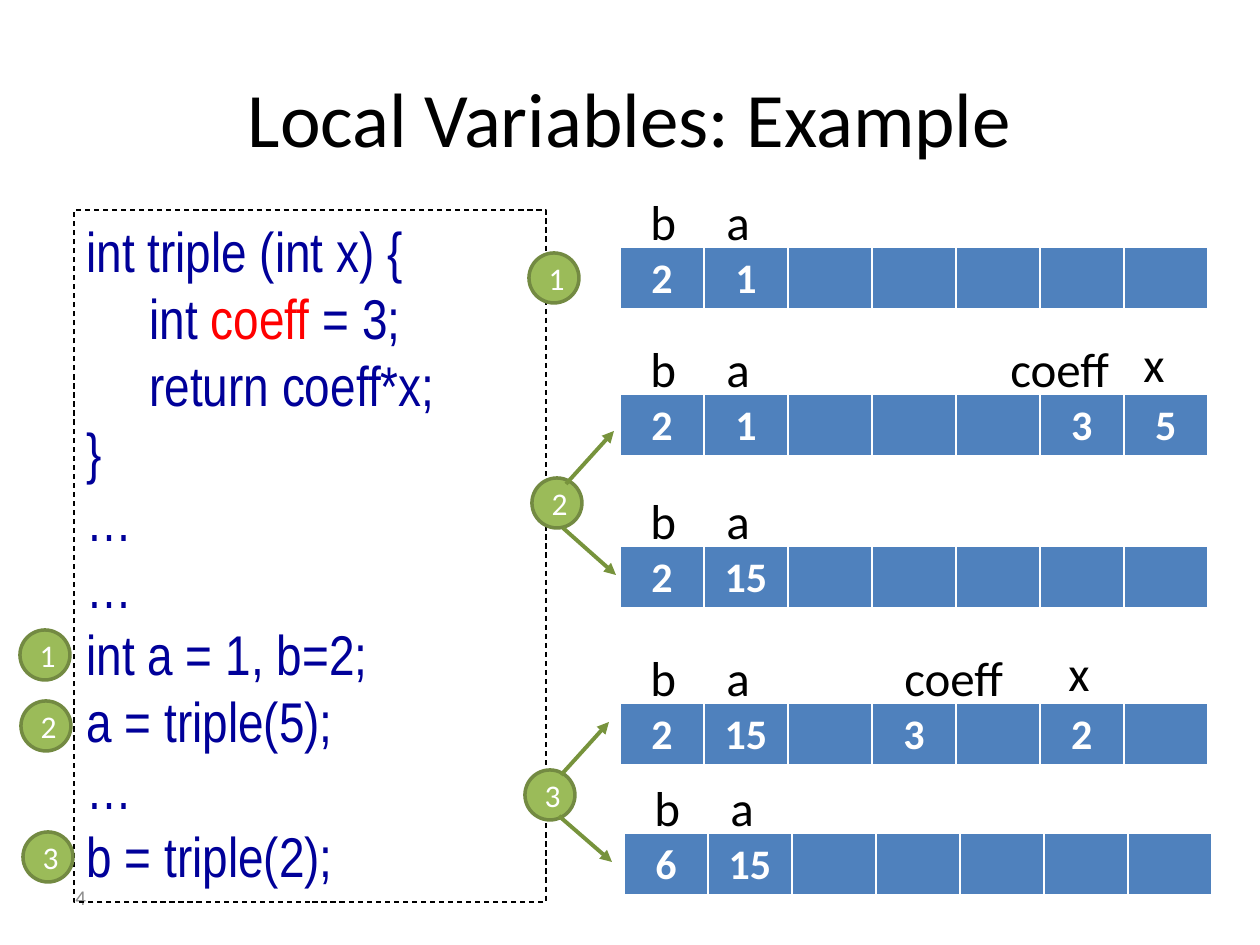
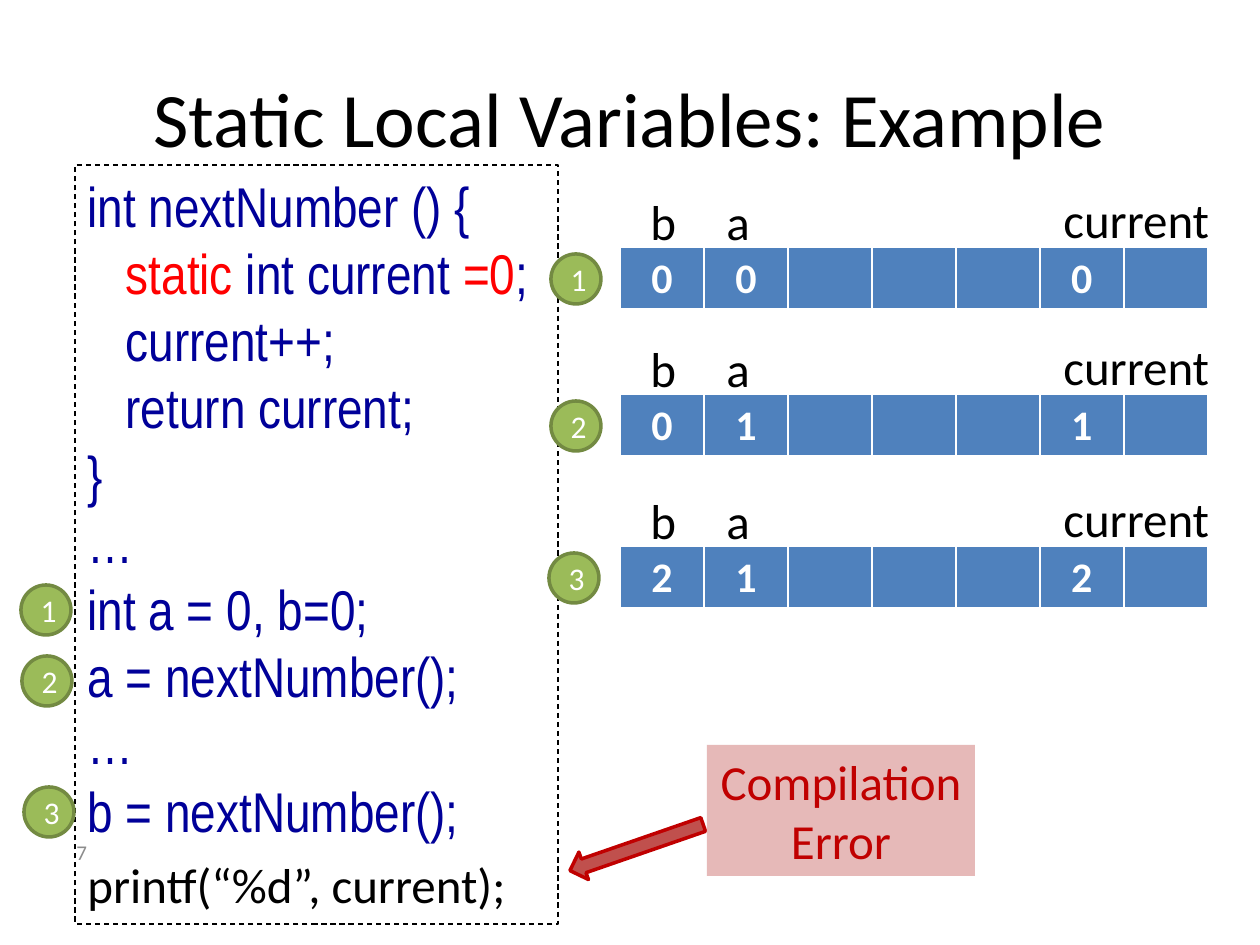
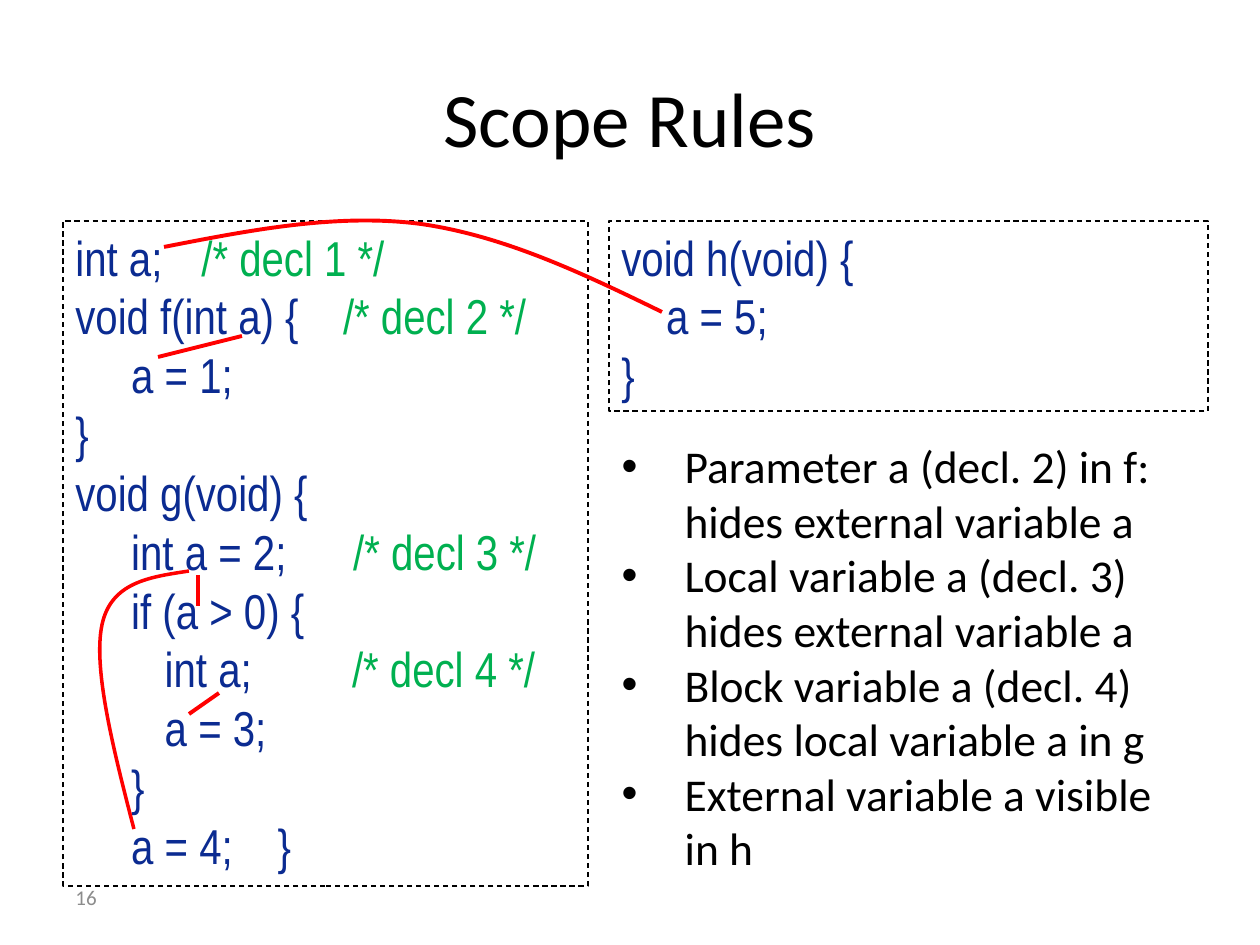
from lxml import etree
from pptx import Presentation
from pptx.dml.color import RGBColor
from pptx.enum.dml import MSO_LINE
from pptx.enum.shapes import MSO_CONNECTOR, MSO_SHAPE
from pptx.enum.text import MSO_ANCHOR, MSO_AUTO_SIZE, PP_ALIGN
from pptx.oxml.ns import qn
from pptx.util import Pt

SCALE = 914400 / 126  # EMU per px
STRAIGHT = MSO_CONNECTOR.STRAIGHT
RECT, OVAL, ARROW = MSO_SHAPE.RECTANGLE, MSO_SHAPE.OVAL, MSO_SHAPE.RIGHT_ARROW
DASH = MSO_LINE.DASH
TOP, MIDDLE = MSO_ANCHOR.TOP, MSO_ANCHOR.MIDDLE
LEFT, CENTER = PP_ALIGN.LEFT, PP_ALIGN.CENTER
NO_FIT = MSO_AUTO_SIZE.NONE

BODY_FONT, CODE_FONT = "Calibri", "Arial Narrow"
BLACK = RGBColor(0, 0, 0)
WHITE = RGBColor(0xFF, 0xFF, 0xFF)
GREY = RGBColor(0x8C, 0x8C, 0x8C)
RED = RGBColor(0xFF, 0, 0)
NAVY = RGBColor(0, 0, 0x99)
INDIGO = RGBColor(0x0B, 0x2B, 0x91)
COMMENT_GREEN = RGBColor(0, 0xB0, 0x50)
CELL_BLUE = RGBColor(0x4F, 0x81, 0xBD)
BADGE_FILL = RGBColor(0x9B, 0xBB, 0x59)
BADGE_LINE = RGBColor(0x73, 0x8A, 0x42)
ARROW_GREEN = RGBColor(0x77, 0x93, 0x3C)
ERROR_RED = RGBColor(0xC0, 0, 0)
ERROR_FILL = RGBColor(0xE6, 0xB9, 0xB8)
ERROR_ARROW = RGBColor(0xC0, 0x50, 0x4D)

COLUMNS, CELL_W, CELL_H = 7, 84, 63
BADGE = 50
# Variable label: width, rise above the memory row
LABELS = {"a": (73, 62), "b": (73, 62), "coeff": (147, 62),
          "x": (63, 67), "current": (188, 64)}


def px(*values):
    return [round(v * SCALE) for v in values]


def add_run(p, text, size, color, font=BODY_FONT, bold=None):
    r = p.add_run()
    r.text = text
    r.font.name, r.font.size, r.font.bold = font, Pt(size), bold
    r.font.color.rgb = color


def paragraphs(tf, lines):
    """Yield a paragraph with each line, reusing the first paragraph."""
    for i, line in enumerate(lines):
        yield (tf.add_paragraph() if i else tf.paragraphs[0]), line


def add_text(slide, box, text, size, color=BLACK, anchor=TOP):
    tf = slide.shapes.add_textbox(*px(*box)).text_frame
    tf.word_wrap, tf.vertical_anchor = True, anchor
    add_run(tf.paragraphs[0], text, size, color)


def add_shape(slide, kind, box, fill=None, line=None, width=2):
    sp = slide.shapes.add_shape(kind, *px(*box))
    sp.shadow.inherit = False
    if fill is None:
        sp.fill.background()
    else:
        sp.fill.solid()
        sp.fill.fore_color.rgb = fill
    if line is None:
        sp.line.fill.background()
    else:
        sp.line.color.rgb, sp.line.width = line, Pt(width)
    return sp


def add_line(slide, points, color, arrow=False):
    line = slide.shapes.add_connector(STRAIGHT, *px(*points))
    line.line.color.rgb, line.line.width = color, Pt(2.25)
    if arrow:
        etree.SubElement(line.line._get_or_add_ln(), qn("a:tailEnd"), type="triangle")
    etree.SubElement(line._element.spPr, qn("a:effectLst"))


def add_curve(slide, x, y, points, width):
    """Draw cubic segments: a start, then two controls and an end for each."""
    pts = [px(x + dx, y + dy) for dx, dy in points]
    fb = slide.shapes.build_freeform(*pts[0])
    fb.add_line_segments(pts[3::3], close=False)
    sp = fb.convert_to_shape()
    sp.shadow.inherit = False
    sp.fill.background()
    sp.line.color.rgb, sp.line.width = RED, Pt(width)
    segments = sp._element.findall(".//" + qn("a:lnTo"))
    for i, segment in enumerate(segments):
        segment.tag = qn("a:cubicBezTo")
        for j, (cx, cy) in enumerate(pts[3 * i + 1:3 * i + 3]):
            control = etree.Element(qn("a:pt"), x=str(cx - sp.left), y=str(cy - sp.top))
            segment.insert(j, control)


def new_slide(prs, layout, title, number, number_at=(63, 872)):
    slide = prs.slides.add_slide(prs.slide_layouts[layout])
    sp = slide.shapes.title
    sp.left, sp.top, sp.width, sp.height = px(63, 38, 1134, 158)
    tf = sp.text_frame
    tf.vertical_anchor, tf.auto_size = MIDDLE, NO_FIT
    tf.paragraphs[0].alignment = CENTER
    add_run(tf.paragraphs[0], title, 44, BLACK)
    add_text(slide, (*number_at, 294, 50), str(number), 12, GREY, MIDDLE)
    return slide


def code_box(slide, box, lines, size, color, tab):
    """A line is a string, or a list of strings and (string, colour) pairs."""
    sp = add_shape(slide, RECT, box, line=BLACK, width=0.75)
    sp.line.dash_style = DASH
    tf = sp.text_frame
    tf.word_wrap, tf.vertical_anchor = True, TOP
    for p, line in paragraphs(tf, lines):
        p.alignment = LEFT
        tabs = etree.SubElement(p._p.get_or_add_pPr(), qn("a:tabLst"))
        etree.SubElement(tabs, qn("a:tab"), pos=str(px(tab)[0]), algn="l")
        for part in [line] if isinstance(line, str) else line:
            text, tint = (part, color) if isinstance(part, str) else part
            add_run(p, text, size, tint, CODE_FONT)


def set_borders(cell):
    tcPr = cell._tc.get_or_add_tcPr()
    for i, (side, width) in enumerate((("lnL", 1), ("lnR", 1), ("lnT", 1), ("lnB", 3))):
        ln = etree.Element(qn("a:" + side), w=str(Pt(width)))
        fill = etree.SubElement(ln, qn("a:solidFill"))
        etree.SubElement(fill, qn("a:srgbClr"), val=str(WHITE))
        tcPr.insert(i, ln)


def memory_row(slide, x, y, values, extra_labels=()):
    """One row of cells: values by column, extra labels as (name, offset)."""
    frame = slide.shapes.add_table(1, COLUMNS, *px(x, y, COLUMNS * CELL_W, CELL_H))
    table = frame.table
    table.first_row = table.horz_banding = False
    for i, cell in enumerate(table.iter_cells()):
        table.columns[i].width = px(CELL_W)[0]
        cell.fill.solid()
        cell.fill.fore_color.rgb = CELL_BLUE
        set_borders(cell)
        if i in values:
            p = cell.text_frame.paragraphs[0]
            p.alignment = CENTER
            add_run(p, str(values[i]), 24, WHITE, bold=True)
    for name, dx in (("b", 18), ("a", 94), *extra_labels):
        width, rise = LABELS[name]
        add_text(slide, (x + dx, y - rise, width, 59), name, 28)


def badge(slide, x, y, number):
    sp = add_shape(slide, OVAL, (x, y, BADGE, BADGE), BADGE_FILL, BADGE_LINE)
    p = sp.text_frame.paragraphs[0]
    p.alignment = CENTER
    add_run(p, str(number), 18, WHITE)


def code_badges(slide, x, y):
    """Number the three statements left of the code box at x, y."""
    for number, (dx, dy) in enumerate(((-54, 420), (-53, 491), (-51, 622)), 1):
        badge(slide, x + dx, y + dy, number)


def error_callout(slide, x, y):
    arrow = add_shape(slide, ARROW, (x - 141, y + 88, 141, 29), ERROR_ARROW, ERROR_RED)
    arrow.rotation = 160.9
    sp = add_shape(slide, RECT, (x, y, 268, 131), ERROR_FILL)
    tf = sp.text_frame
    tf.word_wrap, tf.vertical_anchor = True, TOP
    tf.paragraphs[0].alignment = CENTER
    add_run(tf.paragraphs[0], "Compilation Error", 28, ERROR_RED)


def scope_links(slide, x, y):
    """Link each use of a to its declaration in the code box at x, y."""
    for x1, y1, x2, y2 in ((179, 115, 95, 136), (135, 354, 135, 385),
                           (156, 472, 126, 493)):
        add_line(slide, (x + x1, y + y1, x + x2, y + y2), RED)
    add_curve(slide, x, y, [(71, 608), (50, 527), (30, 447), (39, 404),
                            (48, 361), (87, 356), (126, 350)], 2)
    add_curve(slide, x, y, [(599, 91), (519, 52), (441, 15), (358, 3),
                            (275, -8), (188, 9), (101, 26)], 2.25)


def bullet_list(slide, box, items):
    sp = slide.placeholders[1]
    sp.left, sp.top, sp.width, sp.height = px(*box)
    tf = sp.text_frame
    tf.word_wrap, tf.auto_size = True, NO_FIT
    for p, item in paragraphs(tf, items):
        pPr = p._p.get_or_add_pPr()
        pPr.set("marL", str(px(63)[0]))
        pPr.set("indent", str(px(-63)[0]))
        p.space_before = Pt(0)
        add_run(p, item, 26, BLACK)


def local_variables(prs):
    slide = new_slide(prs, 5, "Local Variables: Example", 4)
    x, y = 74, 210
    code_box(slide, (x, y, 472, 692), [
        "int triple (int x) {",
        ["\tint ", ("coeff", RED), " = 3;"],
        "\treturn coeff*x;",
        "}",
        "…",
        "…",
        "int a = 1, b=2;",
        "a = triple(5);",
        "…",
        "b = triple(2);",
    ], 32, NAVY, 63)
    code_badges(slide, x, y)
    # Memory before, during and after each call
    memory_row(slide, 620, 247, {0: 2, 1: 1})
    memory_row(slide, 620, 394, {0: 2, 1: 1, 5: 3, 6: 5},
               [("coeff", 378), ("x", 511)])
    memory_row(slide, 620, 546, {0: 2, 1: 15})
    memory_row(slide, 620, 703, {0: 2, 1: 15, 3: 3, 5: 2},
               [("coeff", 272), ("x", 436)])
    memory_row(slide, 624, 833, {0: 6, 1: 15})
    for number, bx, by in ((1, 529, 253), (2, 532, 478), (3, 525, 770)):
        badge(slide, bx, by, number)
    for points in ((566, 484, 614, 431), (563, 528, 616, 575),
                   (561, 775, 609, 722), (559, 816, 612, 862)):
        add_line(slide, points, ARROW_GREEN, arrow=True)


def static_variables(prs):
    slide = new_slide(prs, 5, "Static Local Variables: Example", 7, (64, 827))
    x, y = 75, 165
    code_box(slide, (x, y, 483, 759), [
        "int nextNumber () {",
        ["   ", ("static ", RED), "int current ", ("=0", RED), ";"],
        "   current++;",
        "   return current;",
        "}",
        "…",
        "int a = 0, b=0;",
        "a = nextNumber();",
        "…",
        "b = nextNumber();",
    ], 32, NAVY, 63)
    code_badges(slide, x, y)
    # Memory after each numbered statement
    for number, (top, b, a, bx) in enumerate(
            ((247, 0, 0, 551), (394, 0, 1, 551), (546, 2, 1, 549)), 1):
        memory_row(slide, 620, top, {0: b, 1: a, 5: number - 1}, [("current", 431)])
        badge(slide, bx, top + 7, number)
    # Use of the variable outside its scope
    add_text(slide, (x, 848, 475, 72), "printf(“%d”, current);", 28)
    error_callout(slide, 707, 745)


def scope_rules(prs):
    slide = new_slide(prs, 1, "Scope Rules", 16)
    x, y = 63, 221
    code_box(slide, (x, y, 525, 665), [
        ["int a;\t", ("/* decl 1 */", COMMENT_GREEN)],
        ["void f(int a) {    ", ("/* decl 2 */", COMMENT_GREEN)],
        "     a = 1;",
        "}",
        "void g(void) {",
        ["     int a = 2;      ", ("/* decl 3 */", COMMENT_GREEN)],
        "     if (a > 0) {",
        ["        int a;         ", ("/* decl 4 */", COMMENT_GREEN)],
        "        a = 3;",
        "     }",
        "     a = 4;    }",
    ], 28, INDIGO, 126)
    code_box(slide, (609, y, 599, 190),
             ["void h(void) {", "    a = 5;", "}"], 28, INDIGO, 126)
    scope_links(slide, x, y)
    bullet_list(slide, (609, 432, 599, 454), [
        "Parameter a (decl. 2) in f: hides external variable a",
        "Local variable a (decl. 3) hides external variable a",
        "Block variable a (decl. 4) hides local variable a in g",
        "External variable a visible in h",
    ])


def main():
    prs = Presentation()
    prs.slide_width, prs.slide_height = px(1260, 945)
    local_variables(prs)
    static_variables(prs)
    scope_rules(prs)
    prs.save("out.pptx")


if __name__ == "__main__":
    main()
